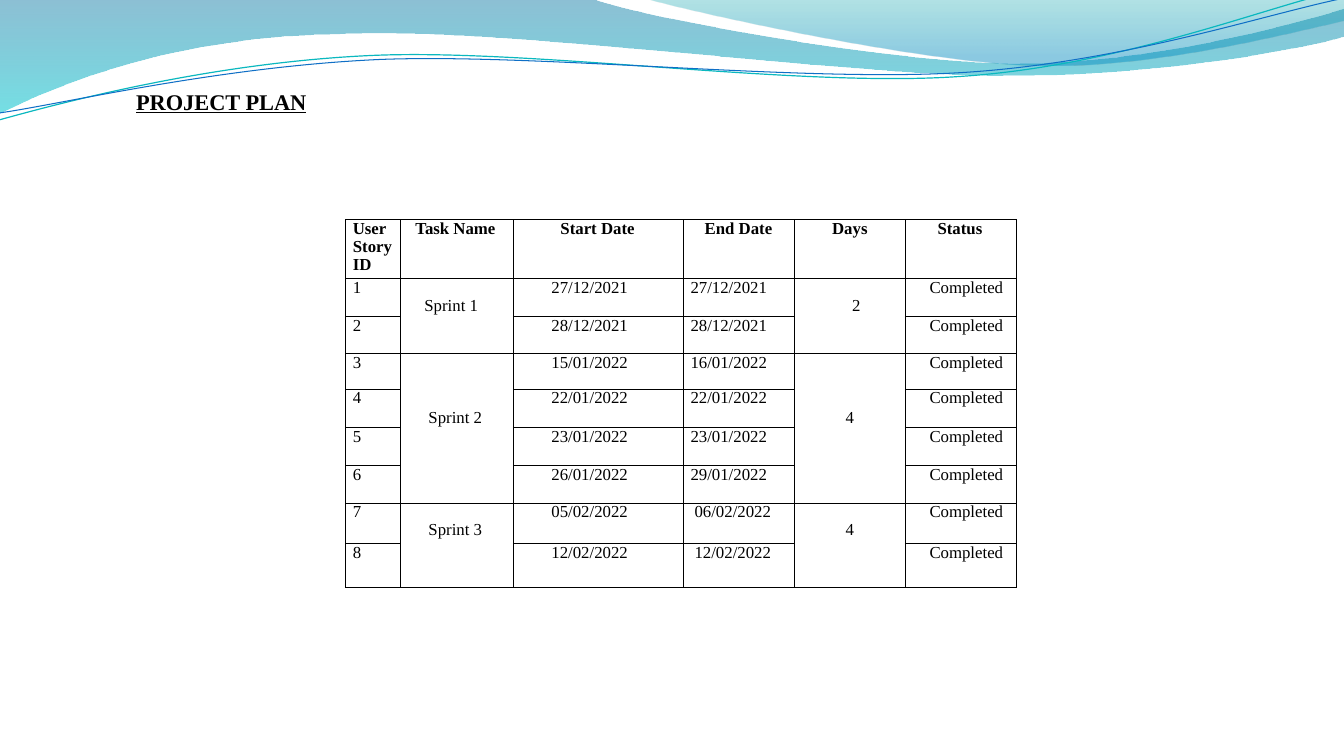
"""Build the project plan slide: wave header, title and sprint table."""
from dataclasses import dataclass
from typing import Optional

from lxml.etree import SubElement
from pptx import Presentation
from pptx.dml.color import RGBColor
from pptx.enum.text import MSO_ANCHOR as Anchor, PP_ALIGN as Align
from pptx.oxml.ns import qn
from pptx.util import Inches, Pt

FONT = "Times New Roman"
BLACK = "000000"
LINE_HEIGHT = 0.18

Point = tuple[float, float]


@dataclass
class Stop:
    position: float
    colour: str
    opacity: int


@dataclass
class Wave:
    start: Point
    segments: list[tuple[Point, ...]]
    stops: tuple[Stop, ...] = ()
    line: str = ""
    width: float = 0


@dataclass
class Sprint:
    name: str
    name_indent: float
    days: str
    days_indent: float
    blank_lines: int
    end_indent: float
    dates: list[tuple[str, str]]


@dataclass
class Heading:
    text: str
    width: float
    indent: float
    align: Align = Align.LEFT
    spacing: Optional[float] = None


WAVES = [
    Wave((-0.01, 0), [((5.87, -0.01),),
                      ((6.34, 0.17), (8.85, 0.63), (10.11, 0.63)),
                      ((11.38, 0.63), (12.78, 0.26), (13.33, 0.09)),
                      ((13.35, 0.36),),
                      ((13.11, 0.44), (11.6, 0.76), (9.94, 0.75)),
                      ((8.29, 0.75), (5.09, 0.28), (3.43, 0.34)),
                      ((1.72, 0.36), (0.61, 0.83), (-0.01, 1.13))],
         (Stop(0, "0074A1", 45), Stop(1, "00C6CF", 55))),
    Wave((6.39, -0.01), [((6.79, 0.11), (9.09, 0.62), (10.25, 0.65)),
                         ((11.41, 0.69), (12.82, 0.32), (13.33, 0.21)),
                         ((13.33, 0),)],
         (Stop(0, "00A1A9", 30), Stop(0.8, "008BBF", 45))),
    Wave((-0.01, 1.19), [((0.64, 1.01), (2.11, 0.62), (3.69, 0.55)),
                         ((5.27, 0.48), (7.9, 0.87), (9.5, 0.76)),
                         ((11.1, 0.66), (12.52, 0.08), (13.31, -0.1))],
         line="0AB8BF", width=0.85),
    Wave((0, 1.12), [((0.63, 1.03), (2.18, 0.66), (3.78, 0.59)),
                     ((5.37, 0.53), (7.96, 0.82), (9.55, 0.72)),
                     ((11.15, 0.62), (12.55, 0.14), (13.34, -0.02))],
         line="0F6FC6", width=0.75),
]

HEADINGS = [
    Heading("User Story ID", 0.54, 0.07, spacing=13),
    Heading("Task Name", 1.12, 0.15),
    Heading("Start Date", 1.69, 0.47),
    Heading("End Date", 1.1, 0.21),
    Heading("Days", 1.1, 0, Align.CENTER),
    Heading("Status", 1.1, 0.32),
]
ROW_HEIGHTS = [0.58, 0.38, 0.37, 0.35, 0.38, 0.38, 0.37, 0.4, 0.44]

SPRINTS = [
    Sprint("Sprint 1", 0.24, "2", 0.13, 1, 0.07,
           [("27/12/2021", "27/12/2021"), ("28/12/2021", "28/12/2021")]),
    Sprint("Sprint 2", 0.28, "4", 0, 3, 0.07,
           [("15/01/2022", "16/01/2022"), ("22/01/2022", "22/01/2022"),
            ("23/01/2022", "23/01/2022"), ("26/01/2022", "29/01/2022")]),
    Sprint("Sprint 3", 0.28, "4", 0, 1, 0.11,
           [("05/02/2022", "06/02/2022"), ("12/02/2022", "12/02/2022")]),
]


def rgb(colour: str) -> RGBColor:
    return RGBColor.from_string(colour)


def bend_segments(shape, segments: list[tuple[Point, ...]]) -> None:
    steps = iter(list(shape.element.spPr.iter(qn("a:lnTo"))))
    for segment in segments:
        first = next(steps)
        if len(segment) == 3:
            first.tag = qn("a:cubicBezTo")
            for _ in range(2):
                step = next(steps)
                first.append(step[0])
                step.getparent().remove(step)


def draw_wave(page, wave: Wave) -> None:
    points = [(Inches(x), Inches(y)) for segment in wave.segments for x, y in segment]
    builder = page.shapes.build_freeform(*map(Inches, wave.start))
    builder.add_line_segments(points, close=bool(wave.stops))
    shape = builder.convert_to_shape()
    bend_segments(shape, wave.segments)
    shape.shadow.inherit = False
    if not wave.stops:
        shape.fill.background()
        shape.line.color.rgb = rgb(wave.line)
        shape.line.width = Pt(wave.width)
        return
    shape.line.fill.background()
    shape.fill.gradient()
    shape.fill.gradient_angle = 270
    for target, stop in zip(shape.fill.gradient_stops, wave.stops):
        target.position = stop.position
        target.color.rgb = rgb(stop.colour)
    colours = shape.element.spPr.iter(qn("a:srgbClr"))
    for colour, stop in zip(colours, wave.stops):
        SubElement(colour, qn("a:alpha"), val=str(stop.opacity * 1000))


def style_text(para, size: float, bold: bool) -> None:
    for span in para.runs:
        span.font.name = FONT
        span.font.size = Pt(size)
        span.font.bold = bold
        span.font.color.rgb = rgb(BLACK)


def frame_cell(cell) -> None:
    properties = cell._tc.get_or_add_tcPr()
    for side in ("lnL", "lnR", "lnT", "lnB"):
        border = SubElement(properties, qn(f"a:{side}"), w=str(Pt(0.58)))
        fill = SubElement(border, qn("a:solidFill"))
        SubElement(fill, qn("a:srgbClr"), val=BLACK)
    cell.fill.background()
    cell.margin_left = cell.margin_right = cell.margin_top = cell.margin_bottom = 0


def write_cell(cell, text: str, indent: float, align: Align = Align.LEFT,
               bold: bool = False, top: float = 0):
    cell.margin_left = Inches(indent)
    cell.margin_top = Inches(top)
    cell.text_frame.text = text
    para = cell.text_frame.paragraphs[0]
    para.alignment = align
    style_text(para, 12, bold)
    return para


def draw_table(page) -> None:
    frame = page.shapes.add_table(
        len(ROW_HEIGHTS), len(HEADINGS), Inches(3.43), Inches(2.18),
        Inches(sum(heading.width for heading in HEADINGS)), Inches(sum(ROW_HEIGHTS)))
    table = frame.table
    table.first_row = table.horz_banding = False
    for row, height in zip(table.rows, ROW_HEIGHTS):
        row.height = Inches(height)
    for cell in table.iter_cells():
        frame_cell(cell)
    for column, heading in enumerate(HEADINGS):
        table.columns[column].width = Inches(heading.width)
        para = write_cell(table.cell(0, column), heading.text, heading.indent,
                          heading.align, bold=True)
        if heading.spacing:
            para.line_spacing = Pt(heading.spacing)
    first = 1
    for sprint in SPRINTS:
        last = first + len(sprint.dates) - 1
        for column in (1, 4):
            table.cell(first, column).merge(table.cell(last, column))
        top = sprint.blank_lines * LINE_HEIGHT
        write_cell(table.cell(first, 1), sprint.name, sprint.name_indent, top=top)
        write_cell(table.cell(first, 4), sprint.days, sprint.days_indent,
                   Align.CENTER, top=top)
        for story, (start, end) in enumerate(sprint.dates, first):
            write_cell(table.cell(story, 0), str(story), 0.07)
            write_cell(table.cell(story, 2), start, 0.38)
            write_cell(table.cell(story, 3), end, sprint.end_indent)
            write_cell(table.cell(story, 5), "Completed", 0.24)
        first = last + 1


def write_title(page) -> None:
    box = page.shapes.title
    box.left, box.top, box.width, box.height = map(Inches, (1.25, 0.82, 10.58, 0.38))
    box.text_frame.text = "PROJECT PLAN"
    box.text_frame.vertical_anchor = Anchor.TOP
    para = box.text_frame.paragraphs[0]
    para.alignment = Align.LEFT
    style_text(para, 16, bold=True)
    para.runs[0].font.underline = True


def main() -> None:
    deck = Presentation()
    deck.slide_width, deck.slide_height = Inches(13.33), Inches(7.5)
    page = deck.slides.add_slide(deck.slide_layouts[5])
    for wave in WAVES:
        draw_wave(page, wave)
    write_title(page)
    draw_table(page)
    deck.save("out.pptx")


if __name__ == "__main__":
    main()
